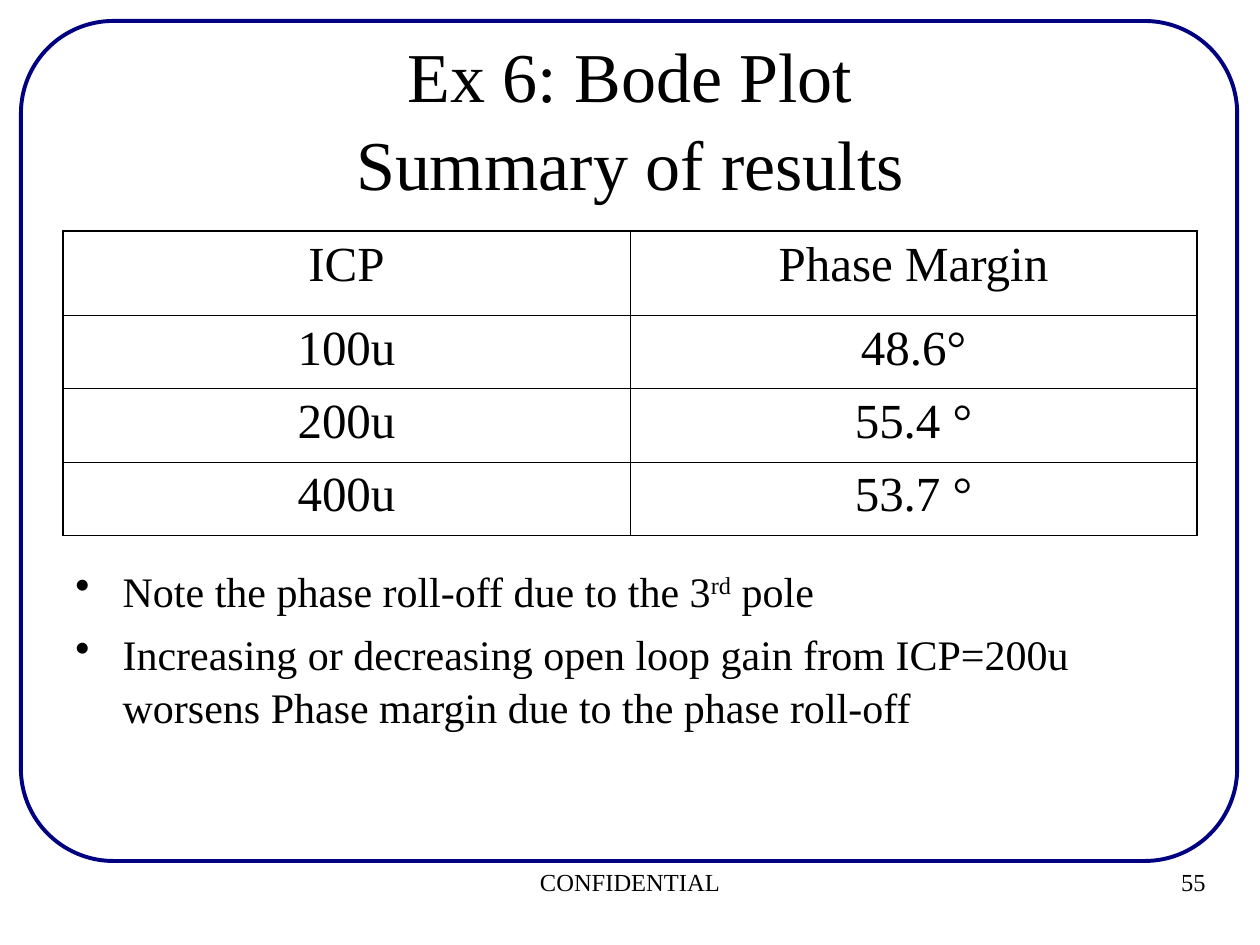
from lxml import etree
from pptx import Presentation
from pptx.dml.color import RGBColor
from pptx.enum import shapes, text
from pptx.oxml import ns
from pptx.util import Pt

BLACK = RGBColor(0, 0, 0)
NAVY = RGBColor(0, 0, 0x80)
FONT = "Times New Roman"
THICK, THIN = 1.08, 0.45

RESULTS = [
    ("ICP", "Phase Margin"),
    ("100u", "48.6°"),
    ("200u", "55.4 °"),
    ("400u", "53.7 °"),
]
# Each note is a list of (text, is superscript)
NOTES = [
    [("Note the phase roll-off due to the 3", False), ("rd", True), (" pole", False)],
    [("Increasing or decreasing open loop gain from ICP=200u worsens "
      "Phase margin due to the phase roll-off", False)],
]


def set_format(target, **values):
    for name, value in values.items():
        setattr(target, name, value)


def style_font(font, size):
    set_format(font, name=FONT, size=Pt(size))
    font.color.rgb = BLACK


def place(sp, box):
    for name, value in zip(("left", "top", "width", "height"), box):
        setattr(sp, name, Pt(value))


def add_text_box(slide, box):
    tf = slide.shapes.add_textbox(*map(Pt, box)).text_frame
    tf.word_wrap = True
    return tf


def add_frame(slide, box):
    sp = slide.shapes.add_shape(shapes.MSO_SHAPE.ROUNDED_RECTANGLE, *map(Pt, box))
    sp.adjustments[0] = 0.11
    sp.shadow.inherit = False
    sp.fill.background()
    sp.line.color.rgb = NAVY
    sp.line.width = Pt(2.25)


def add_title(slide, box, title):
    sp = slide.shapes.title
    place(sp, box)
    tf = sp.text_frame
    set_format(tf, word_wrap=True, auto_size=text.MSO_AUTO_SIZE.NONE,
               vertical_anchor=text.MSO_ANCHOR.MIDDLE)
    tf.text = title
    p = tf.paragraphs[0]
    set_format(p, alignment=text.PP_ALIGN.CENTER, line_spacing=1.05)
    style_font(p.font, 40)


def add_footer(slide, box, words, alignment):
    p = add_text_box(slide, box).paragraphs[0]
    p.text = words
    p.alignment = alignment
    style_font(p.font, 14)


def set_borders(cell, widths):
    tc_pr = cell._tc.get_or_add_tcPr()
    for index, (side, width) in enumerate(widths.items()):
        ln = etree.Element(ns.qn(f"a:ln{side}"), w=str(Pt(width)))
        fill = etree.SubElement(ln, ns.qn("a:solidFill"))
        etree.SubElement(fill, ns.qn("a:srgbClr"), val=str(BLACK))
        tc_pr.insert(index, ln)


def add_results(slide, box, rows, heights):
    last_row, last_col = len(rows) - 1, len(rows[0]) - 1
    table = slide.shapes.add_table(len(rows), len(rows[0]), *map(Pt, box)).table
    set_format(table, first_row=False, horz_banding=False)
    for r, (values, height) in enumerate(zip(rows, heights)):
        table.rows[r].height = Pt(height)
        for c, value in enumerate(values):
            cell = table.cell(r, c)
            cell.fill.background()
            p = cell.text_frame.paragraphs[0]
            p.text = value
            p.alignment = text.PP_ALIGN.CENTER
            style_font(p.font, 28)
            # Outer edges are thicker than inner ones
            outer = {"L": c == 0, "R": c == last_col, "T": r == 0, "B": r == last_row}
            set_borders(cell, {side: THICK if edge else THIN
                               for side, edge in outer.items()})


def add_notes(slide, box, notes):
    tf = add_text_box(slide, box)
    for i, note in enumerate(notes):
        p = tf.add_paragraph() if i else tf.paragraphs[0]
        p_pr = p._p.get_or_add_pPr()
        p_pr.set("marL", str(Pt(27)))
        p_pr.set("indent", str(Pt(-27)))
        etree.SubElement(p_pr, ns.qn("a:buChar"), char="•")
        p.line_spacing = 1.05
        if i:
            p.space_before = Pt(6)
        style_font(p.font, 24)
        for words, raised in note:
            run = p.add_run()
            run.text = words
            if raised:
                run.font._element.set("baseline", "30000")


def main():
    prs = Presentation()
    set_format(prs, slide_width=Pt(720), slide_height=Pt(540))
    slide = prs.slides.add_slide(prs.slide_layouts[5])

    # Frame and footer
    add_frame(slide, (12, 12, 695, 480))
    add_footer(slide, (660, 492, 36, 30), "55", text.PP_ALIGN.RIGHT)
    add_footer(slide, (12, 492, 696, 36), "CONFIDENTIAL", text.PP_ALIGN.CENTER)

    # Title, table and notes
    add_title(slide, (36, 21.5, 648, 90), "Ex 6: Bode Plot\vSummary of results")
    add_results(slide, (36, 132, 648, 174), RESULTS, (48, 42, 42, 42))
    add_notes(slide, (36, 318, 648, 168), NOTES)

    prs.save("out.pptx")


if __name__ == "__main__":
    main()
